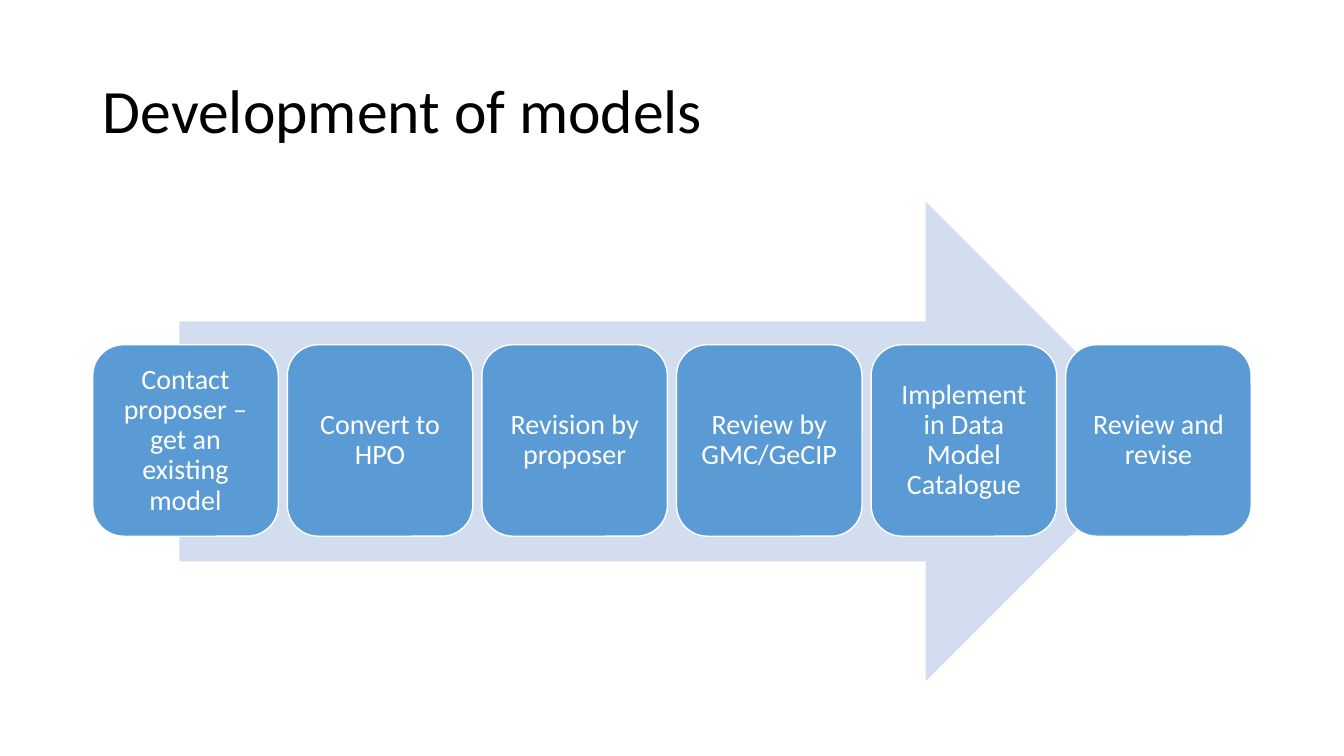
from pptx import Presentation
from pptx.dml.color import RGBColor
from pptx.enum.shapes import MSO_SHAPE as Shape
from pptx.enum.text import MSO_ANCHOR as Anchor, MSO_AUTO_SIZE as AutoSize, PP_ALIGN as Align
from pptx.util import Pt

TITLE = "Development of models"
STEPS = [
    "Contact proposer – get an existing model",
    "Convert to HPO",
    "Revision by proposer",
    "Review by GMC/GeCIP",
    "Implement in Data Model Catalogue",
    "Review and revise",
]

PX = 9144
PAGE_WIDTH, PAGE_HEIGHT = 1333, 750
TITLE_BOX = (92, 40, 1150, 145)
ARROW_BOX = (178, 200, 978, 476)
STEP_LEFT, STEP_TOP, STEP_WIDTH, STEP_HEIGHT = 92, 342, 184, 190
STEP_GAP = 9


def px(*lengths):
    return [length * PX for length in lengths]


def color(value):
    return RGBColor.from_string(value)


def write(shape, text, size, ink, align=Align.LEFT, inset=(10, 5), after=0):
    frame = shape.text_frame
    frame.word_wrap = True
    frame.auto_size = AutoSize.NONE
    frame.vertical_anchor = Anchor.MIDDLE
    frame.margin_left = frame.margin_right = inset[0] * PX
    frame.margin_top = frame.margin_bottom = inset[1] * PX
    para = frame.paragraphs[0]
    para.alignment = align
    para.line_spacing = 0.9
    para.space_after = Pt(after)
    span = para.add_run()
    span.text = text
    span.font.name = "Calibri"
    span.font.size = Pt(size)
    span.font.color.rgb = color(ink)


def add_block(page, kind, box, fill, line=None):
    block = page.shapes.add_shape(kind, *px(*box))
    block.shadow.inherit = False
    block.fill.solid()
    block.fill.fore_color.rgb = color(fill)
    if line:
        block.line.color.rgb = color(line)
        block.line.width = Pt(1)
    else:
        block.line.fill.background()
    return block


def main():
    deck = Presentation()
    deck.slide_width, deck.slide_height = px(PAGE_WIDTH, PAGE_HEIGHT)
    page = deck.slides.add_slide(deck.slide_layouts[5])

    title = page.shapes.title
    title.left, title.top, title.width, title.height = px(*TITLE_BOX)
    write(title, TITLE, 44, "000000")

    add_block(page, Shape.RIGHT_ARROW, ARROW_BOX, "D2DEEF")
    for index, step in enumerate(STEPS):
        left = STEP_LEFT + index * (STEP_WIDTH + STEP_GAP)
        box = (left, STEP_TOP, STEP_WIDTH, STEP_HEIGHT)
        block = add_block(page, Shape.ROUNDED_RECTANGLE, box, "5B9BD5", line="FFFFFF")
        write(block, step, 20, "FFFFFF", align=Align.CENTER, inset=(8, 8), after=7)

    deck.save("out.pptx")


if __name__ == "__main__":
    main()
